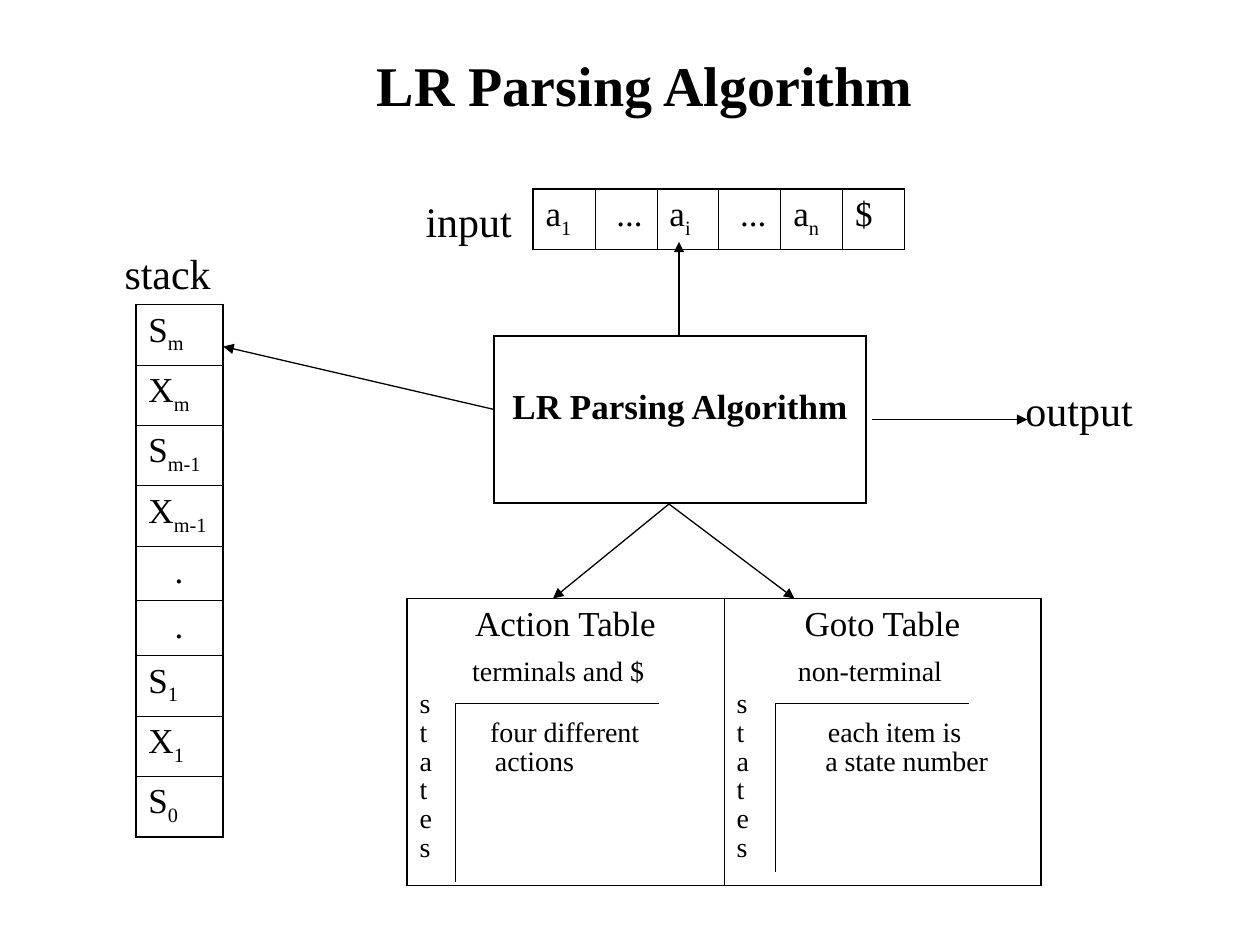
from dataclasses import dataclass

from lxml.etree import SubElement
from pptx import Presentation
from pptx.dml.color import RGBColor
from pptx.enum.shapes import MSO_CONNECTOR
from pptx.enum.text import MSO_ANCHOR, MSO_AUTO_SIZE, PP_ALIGN
from pptx.oxml import parse_xml
from pptx.oxml.ns import nsdecls, qn
from pptx.util import Pt


@dataclass(frozen=True)
class Theme:
    font: str = "Times New Roman"
    ink: RGBColor = RGBColor(0, 0, 0)
    title: int = 32
    label: int = 24
    body: int = 20
    small: int = 16
    line: float = 0.75
    outer: float = 1.08
    inner: float = 0.45


THEME = Theme()


def add_run(p, text, size, bold=False, subscript=False):
    r = p.add_run()
    r.text = text
    r.font.name = THEME.font
    r.font.size = Pt(size)
    r.font.bold = bold
    r.font.color.rgb = THEME.ink
    if subscript:
        r.font._element.set("baseline", "-25000")


def set_indent(p, points):
    p._p.get_or_add_pPr().set("marL", str(Pt(points)))


def add_tab(p, points):
    tabs = SubElement(p._p.get_or_add_pPr(), qn("a:tabLst"))
    SubElement(tabs, qn("a:tab"), pos=str(Pt(points)), algn="l")


def add_title(slide, box, text):
    tf = slide.shapes.add_textbox(*map(Pt, box)).text_frame
    tf.word_wrap = True
    tf.vertical_anchor = MSO_ANCHOR.MIDDLE
    tf.paragraphs[0].alignment = PP_ALIGN.CENTER
    add_run(tf.paragraphs[0], text, THEME.title, bold=True)


def add_label(slide, box, text):
    tf = slide.shapes.add_textbox(*map(Pt, box)).text_frame
    tf.word_wrap = False
    tf.auto_size = MSO_AUTO_SIZE.SHAPE_TO_FIT_TEXT
    add_run(tf.paragraphs[0], text, THEME.label)


def add_line(slide, x1, y1, x2, y2, arrow=False):
    line = slide.shapes.add_connector(
        MSO_CONNECTOR.STRAIGHT, Pt(x1), Pt(y1), Pt(x2), Pt(y2))
    line.line.color.rgb = THEME.ink
    line.line.width = Pt(THEME.line)
    if arrow:
        SubElement(line.line._get_or_add_ln(), qn("a:tailEnd"), type="triangle")
    SubElement(line._element.spPr, qn("a:effectLst"))


def set_borders(cell, outer_sides):
    """Draw thick lines on the sides at the table's edge and thin ones inside."""
    cell.fill.background()
    tcPr = cell._tc.get_or_add_tcPr()
    for i, side in enumerate("LRTB"):
        width = THEME.outer if side in outer_sides else THEME.inner
        tcPr.insert(i, parse_xml(
            f'<a:ln{side} {nsdecls("a")} w="{Pt(width)}"><a:solidFill>'
            f'<a:srgbClr val="{THEME.ink}"/></a:solidFill></a:ln{side}>'))


def add_grid(slide, x, y, widths, heights):
    frame = slide.shapes.add_table(len(heights), len(widths), Pt(x), Pt(y),
                                   Pt(sum(widths)), Pt(sum(heights)))
    table = frame.table
    table.first_row = table.horz_banding = False
    for column, width in zip(table.columns, widths):
        column.width = Pt(width)
    for row, height in zip(table.rows, heights):
        row.height = Pt(height)
    for r in range(len(heights)):
        for c in range(len(widths)):
            edges = {"L": c == 0, "R": c == len(widths) - 1,
                     "T": r == 0, "B": r == len(heights) - 1}
            set_borders(table.cell(r, c), [s for s in edges if edges[s]])
    return table


def write_symbol(cell, symbol, dots_indent):
    """Write "a_i" as a letter with a subscript, and dots with an indent."""
    p = cell.text_frame.paragraphs[0]
    base, _, sub = symbol.partition("_")
    if base.startswith("."):
        set_indent(p, dots_indent)
    add_run(p, base, THEME.body)
    if sub:
        add_run(p, sub, THEME.body, subscript=True)


def add_stack(slide, x, y, width):
    symbols = ["S_m", "X_m", "S_m-1", "X_m-1", ".", ".", "S_1", "X_1", "S_0"]
    heights = [31.2 if s == "." else 34.5 for s in symbols]
    table = add_grid(slide, x, y, [width], heights)
    for r, symbol in enumerate(symbols):
        write_symbol(table.cell(r, 0), symbol, 15)
    add_label(slide, (x - 13.5, y - 36, 63.5, 36), "stack")


def add_input(slide, x, y, width):
    symbols = ["a_1", "...", "a_i", "...", "a_n", "$"]
    table = add_grid(slide, x, y, [width / len(symbols)] * len(symbols), [34.5])
    for c, symbol in enumerate(symbols):
        write_symbol(table.cell(0, c), symbol, 5)
    add_label(slide, (x - 68.5, y, 63.5, 36), "input")


def add_parser(slide, x, y, width, height):
    cell = add_grid(slide, x, y, [width], [height]).cell(0, 0)
    cell.vertical_anchor = MSO_ANCHOR.MIDDLE
    cell.margin_bottom = Pt(17.5)
    p = cell.text_frame.paragraphs[0]
    p.alignment = PP_ALIGN.CENTER
    add_run(p, "LR Parsing Algorithm", THEME.body, bold=True)


def write_panel(cell, title, heading, indent, notes):
    """Write a title, a column heading, and "states" downwards beside the notes."""
    tf = cell.text_frame
    p = tf.paragraphs[0]
    p.alignment = PP_ALIGN.CENTER
    add_run(p, title, THEME.body)
    p = tf.add_paragraph()
    p.space_before, p.space_after = Pt(7.6), Pt(0.6)
    set_indent(p, indent)
    add_run(p, heading, THEME.small)
    for i, letter in enumerate("states"):
        p = tf.add_paragraph()
        p.line_spacing = 0.7
        p.space_before = Pt(4)
        note = ""
        if i in notes:
            tab, text = notes[i]
            add_tab(p, tab)
            note = "\t" + text
        add_run(p, letter + note, THEME.small)


def add_tables(slide, x, y, width, height):
    half = width / 2
    table = add_grid(slide, x, y, [half, half], [height])
    write_panel(table.cell(0, 0), "Action Table", "terminals and $", 30,
                {1: (40.3, "four different"), 2: (43, "actions")})
    write_panel(table.cell(0, 1), "Goto Table", "non-terminal", 35,
                {1: (52.2, "each item is"), 2: (50.7, "a state number")})
    axes_y = y + 60
    for axes_x, across, down in [(x + 27.6, 116.6, 102),
                                 (x + half + 29.3, 111, 96.5)]:
        add_line(slide, axes_x, axes_y, axes_x + across, axes_y)
        add_line(slide, axes_x, axes_y, axes_x, axes_y + down)


def main():
    prs = Presentation()
    prs.slide_width, prs.slide_height = Pt(720), Pt(540)
    slide = prs.slides.add_slide(prs.slide_layouts[6])
    add_title(slide, (28, 12.2, 681, 72), "LR Parsing Algorithm")
    add_stack(slide, 77.6, 174, 49.9)
    add_input(slide, 304.6, 108, 212.4)
    add_tables(slide, 232.6, 342, 362.2, 164)
    add_parser(slide, 282.4, 192, 212.4, 95.4)
    add_label(slide, (578.9, 216, 75.6, 36), "output")

    add_line(slide, 282.4, 234, 127.6, 198, arrow=True)
    for table_x in (316, 454):
        add_line(slide, 382.3, 288, table_x, 342, arrow=True)
    add_line(slide, 388, 192, 388, 138.2, arrow=True)
    add_line(slide, 498.4, 239.8, 587, 239.8, arrow=True)
    prs.save("out.pptx")


if __name__ == "__main__":
    main()
